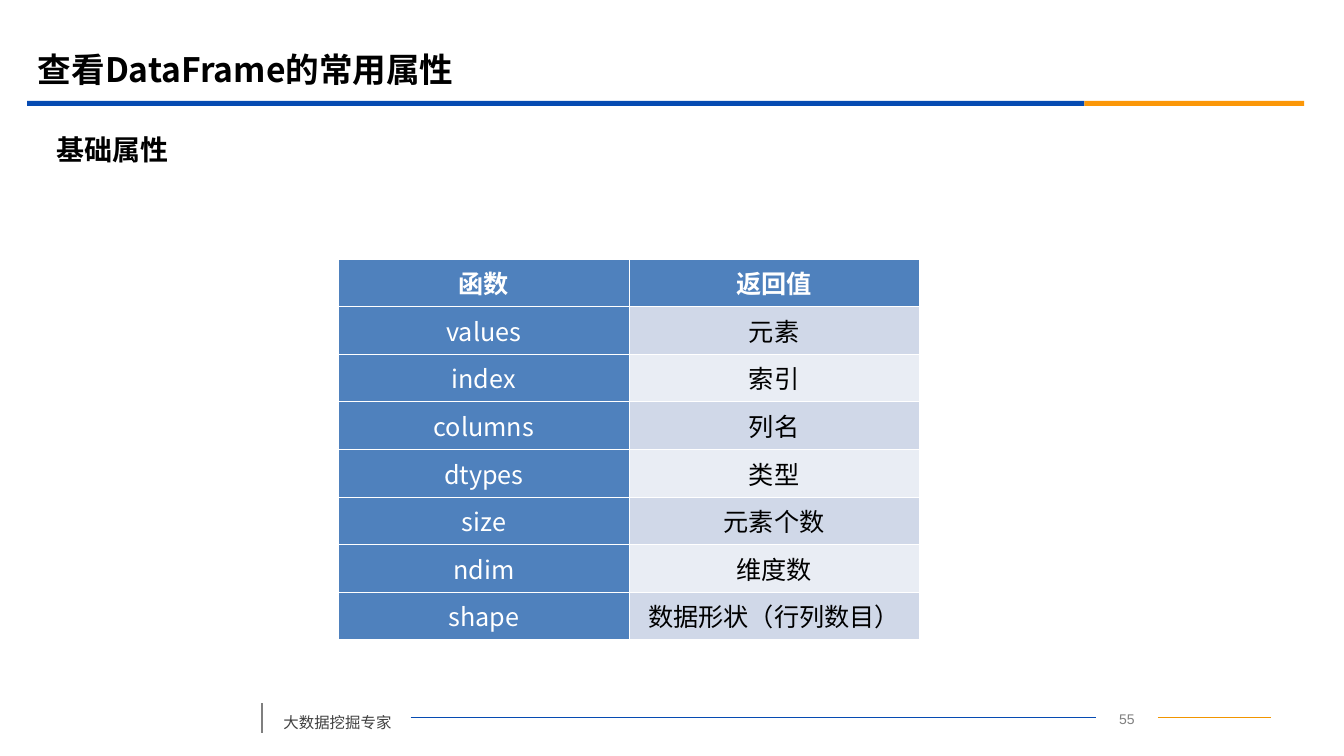
from dataclasses import dataclass

from lxml.etree import SubElement
from pptx import Presentation
from pptx.dml.color import RGBColor
from pptx.enum.shapes import MSO_CONNECTOR, MSO_SHAPE
from pptx.enum.text import MSO_ANCHOR, PP_ALIGN
from pptx.oxml import parse_xml
from pptx.oxml.ns import nsdecls, qn
from pptx.util import Pt


@dataclass(frozen=True)
class Theme:
    """Colours, fonts and type sizes of the slide."""
    sans: str = "Noto Sans CJK SC"
    plain: str = "Arial"
    black: str = "000000"
    white: str = "FFFFFF"
    grey: str = "7F7F7F"
    dark: str = "404040"
    blue: str = "064BB2"
    gold: str = "FB9708"
    amber: str = "F19500"
    head: str = "4F81BD"
    bands: tuple = ("D0D8E8", "E9EDF4")
    title: int = 24
    sub: int = 20
    cell: int = 18
    small: int = 11
    page: int = 10
    thin: float = 0.45
    thick: float = 1.47


THEME = Theme()
ROWS = [
    ("函数", "返回值"),
    ("values", "元素"),
    ("index", "索引"),
    ("columns", "列名"),
    ("dtypes", "类型"),
    ("size", "元素个数"),
    ("ndim", "维度数"),
    ("shape", "数据形状（行列数目）"),
]


def rgb(code):
    """Turn a hex code into a colour."""
    return RGBColor.from_string(code)


def write(frame, text, size, color, bold=False, face=THEME.sans, align=PP_ALIGN.LEFT):
    """Add one styled run to the first paragraph and return the paragraph."""
    para = frame.paragraphs[0]
    para.alignment = align
    run = para.add_run()
    run.text = text
    font = run.font
    font.name, font.size, font.bold = face, Pt(size), bold
    font.color.rgb = rgb(color)
    SubElement(font._element, qn("a:ea"), typeface=face)
    return para


def label(slide, box, text, size, color, anchor=MSO_ANCHOR.MIDDLE, **style):
    """Place a wrapped text box and return it with its paragraph."""
    shape = slide.shapes.add_textbox(*map(Pt, box))
    frame = shape.text_frame
    frame.word_wrap = True
    frame.vertical_anchor = anchor
    return shape, write(frame, text, size, color, **style)


def line(slide, start, end, color, width):
    """Draw a straight line without a shadow."""
    link = slide.shapes.add_connector(
        MSO_CONNECTOR.STRAIGHT, *map(Pt, (*start, *end)))
    link.line.color.rgb = rgb(color)
    link.line.width = Pt(width)
    SubElement(link._element.spPr, qn("a:effectLst"))
    return link


def header(slide, box):
    """Place the title above its two-colour rule."""
    left, top, width, height = box
    label(slide, (left, top, 864, 42), "查看DataFrame的常用属性",
          THEME.title, THEME.black, bold=True)
    split = 755.5
    for start, span, color in ((0, split, THEME.blue),
                               (split, width - split, THEME.gold)):
        bar = slide.shapes.add_shape(
            MSO_SHAPE.RECTANGLE,
            *map(Pt, (left - 0.5 + start, top + height - 3.6, span, 3.6)))
        bar.shadow.inherit = False
        bar.fill.solid()
        bar.fill.fore_color.rgb = rgb(color)
        bar.line.fill.background()


def edge(cell, row):
    """Give a cell white borders, thick under the header row."""
    props = cell._tc.get_or_add_tcPr()
    for spot, side in enumerate("LRTB"):
        heavy = (row, side) in ((0, "B"), (1, "T"))
        width = Pt(THEME.thick if heavy else THEME.thin)
        props.insert(spot, parse_xml(
            f'<a:ln{side} {nsdecls("a")} w="{width}"><a:solidFill>'
            f'<a:srgbClr val="{THEME.white}"/></a:solidFill></a:ln{side}>'))


def grid(slide, box):
    """Fill the box with the table of attributes."""
    table = slide.shapes.add_table(len(ROWS), len(ROWS[0]), *map(Pt, box)).table
    for row, texts in enumerate(ROWS):
        for col, text in enumerate(texts):
            cell = table.cell(row, col)
            key = row == 0 or col == 0
            cell.fill.solid()
            cell.fill.fore_color.rgb = rgb(
                THEME.head if key else THEME.bands[(row - 1) % 2])
            cell.vertical_anchor = MSO_ANCHOR.MIDDLE
            write(cell.text_frame, text, THEME.cell,
                  THEME.white if key else THEME.black,
                  bold=row == 0, align=PP_ALIGN.CENTER)
            edge(cell, row)


def footer(slide, box):
    """Place the caption, page number and lines along one axis."""
    left, top, width, height = box
    mid = top + height / 2
    line(slide, (left, top + 3), (left, top + 24.6), THEME.grey, 1.25)
    name, para = label(slide, (left + 8, top, 98, height), "大数据挖掘专家",
                       THEME.small, THEME.dark, anchor=MSO_ANCHOR.TOP)
    para.line_spacing = 1.5
    page, _ = label(slide, (left + 595.5, mid - 9, 44.5, 18), "55", THEME.page,
                    THEME.grey, anchor=MSO_ANCHOR.TOP, face=THEME.plain,
                    align=PP_ALIGN.CENTER)
    rule = line(slide, (left + 106, mid), (left + 595.5, mid), THEME.blue, 0.75)
    rule.begin_connect(name, 3)
    rule.end_connect(page, 1)
    tail = line(slide, (left + 640, mid), (left + width, mid), THEME.amber, 0.75)
    tail.begin_connect(page, 3)


def main():
    """Build the slide and save it."""
    deck = Presentation()
    deck.slide_width, deck.slide_height = Pt(960.5), Pt(540)
    slide = deck.slides.add_slide(deck.slide_layouts[6])
    header(slide, (20, 28, 912.5, 47.6))
    label(slide, (33, 89.5, 875, 34), "基础属性",
          THEME.sub, THEME.black, bold=True)
    grid(slide, (242, 185, 415, 272))
    footer(slide, (187.5, 499.3, 720.5, 27))
    deck.save("out.pptx")


if __name__ == "__main__":
    main()
